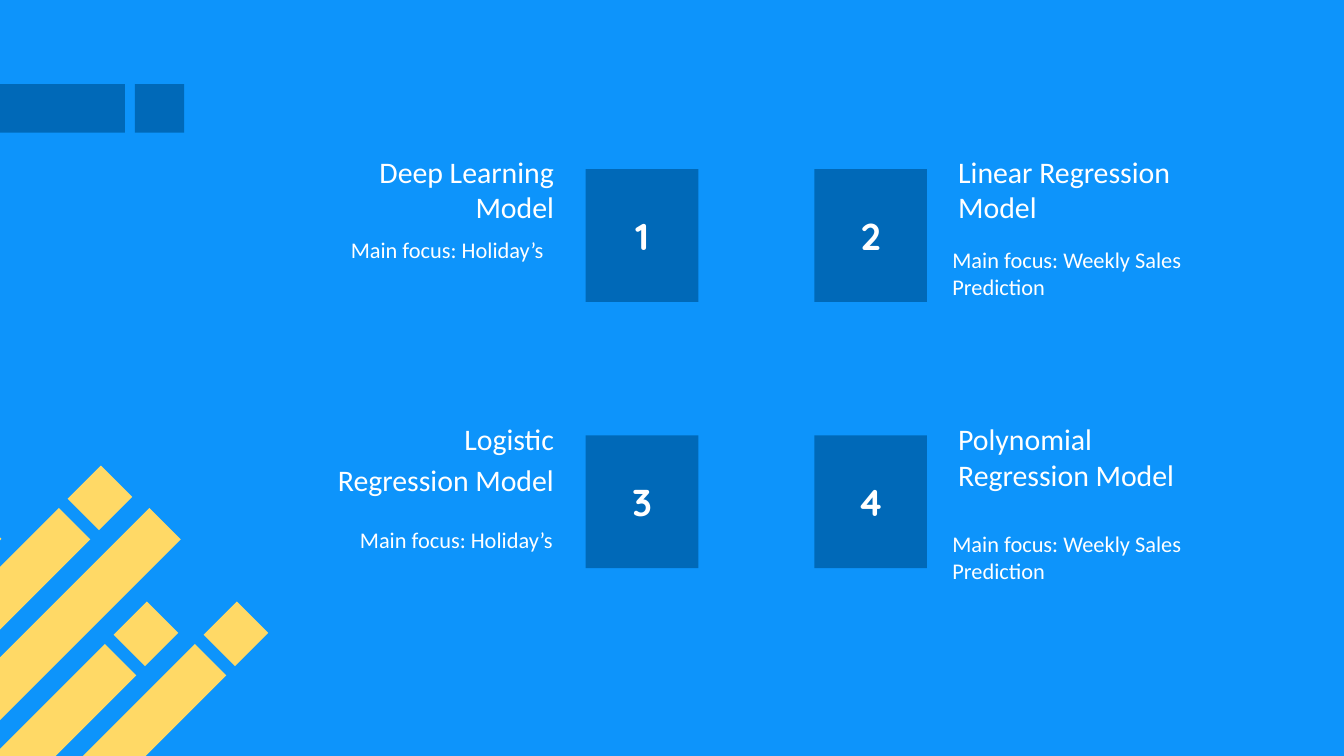
from pptx import Presentation
from pptx.dml.color import RGBColor
from pptx.enum.shapes import MSO_SHAPE
from pptx.enum.text import MSO_ANCHOR, PP_ALIGN
from pptx.util import Cm, Pt

COLORS = {"background": "0D94FB", "block": "0069B8", "stripe": "FFD966", "text": "FFFFFF"}

presentation = Presentation()
presentation.slide_width = Cm(25.4)
presentation.slide_height = Cm(14.29)
slide = presentation.slides.add_slide(presentation.slide_layouts[6])
slide.background.fill.solid()
slide.background.fill.fore_color.rgb = RGBColor.from_string(COLORS["background"])


def add_block(left, top, width, height, color, rotation=0):
    shape = slide.shapes.add_shape(
        MSO_SHAPE.RECTANGLE, Cm(left), Cm(top), Cm(width), Cm(height)
    )
    shape.shadow.inherit = False
    shape.fill.solid()
    shape.fill.fore_color.rgb = RGBColor.from_string(COLORS[color])
    shape.line.fill.background()
    shape.rotation = rotation
    return shape


def write_text(shape, text, size, font="Calibri", bold=False,
               align=PP_ALIGN.LEFT, line_spacing=None, indent=0):
    frame = shape.text_frame
    frame.word_wrap = True
    frame.vertical_anchor = MSO_ANCHOR.MIDDLE
    frame.margin_left = frame.margin_right = Cm(0.25)
    frame.margin_top = frame.margin_bottom = Cm(0.25)
    paragraph = frame.paragraphs[0]
    paragraph.text = text
    paragraph.alignment = align
    if line_spacing:
        paragraph.line_spacing = line_spacing
    if indent:
        paragraph._p.get_or_add_pPr().set("indent", str(Cm(indent)))
    paragraph.font.name = font
    paragraph.font.size = Pt(size)
    paragraph.font.bold = bold
    paragraph.font.color.rgb = RGBColor.from_string(COLORS["text"])


for left, width in [(0, 2.36), (2.55, 0.93)]:
    add_block(left, 1.59, width, 0.92, "block")

stripe_thickness = 0.84
stripes = [
    (4.46, 11.98, 0.89),
    (1.27, 15.18, 7.67),
    (2.76, 11.98, 0.89),
    (-0.43, 15.18, 7.67),
    (0.41, 12.61, 7.67),
    (-1.47, 11.09, 3.4),
    (-1.3, 12.61, 7.67),
    (1.89, 9.41, 0.89),
]
for center_x, center_y, length in stripes:
    add_block(center_x - length / 2, center_y - stripe_thickness / 2,
              length, stripe_thickness, "stripe", rotation=315)

number_lefts = [11.07, 15.39]
number_tops = [3.2, 8.23]
heading_lefts = [6.12, 17.86]
heading_tops = [3.18, 8.23]
alignments = [PP_ALIGN.RIGHT, PP_ALIGN.LEFT]
models = [
    ("Deep Learning Model", "Main focus: Holiday’s", 5.11, 3.65,
     {}, {"align": PP_ALIGN.LEFT, "indent": 1.27}),
    ("Linear Regression Model", "Main focus: Weekly Sales Prediction", 17.75, 4.09, {}, {}),
    ("Logistic Regression Model", "Main focus: Holiday’s", 4.93, 9.14,
     {"line_spacing": 1.15}, {}),
    ("Polynomial Regression Model", "Main focus: Weekly Sales Prediction", 17.75, 9.47, {}, {}),
]
for index, (heading, focus, focus_left, focus_top, heading_format, focus_format) in enumerate(models):
    row, column = divmod(index, 2)
    side = {"align": alignments[column]}

    number = add_block(number_lefts[column], number_tops[row], 2.13, 2.51, "block")
    write_text(number, str(index + 1), 20, font="Quicksand", bold=True, align=PP_ALIGN.CENTER)

    heading_box = slide.shapes.add_textbox(
        Cm(heading_lefts[column]), Cm(heading_tops[row]), Cm(4.6), Cm(0.79)
    )
    write_text(heading_box, heading, 16, **{**side, **heading_format})

    focus_box = slide.shapes.add_textbox(Cm(focus_left), Cm(focus_top), Cm(5.77), Cm(2.13))
    write_text(focus_box, focus, 12, **{**side, **focus_format})

presentation.save("out.pptx")
